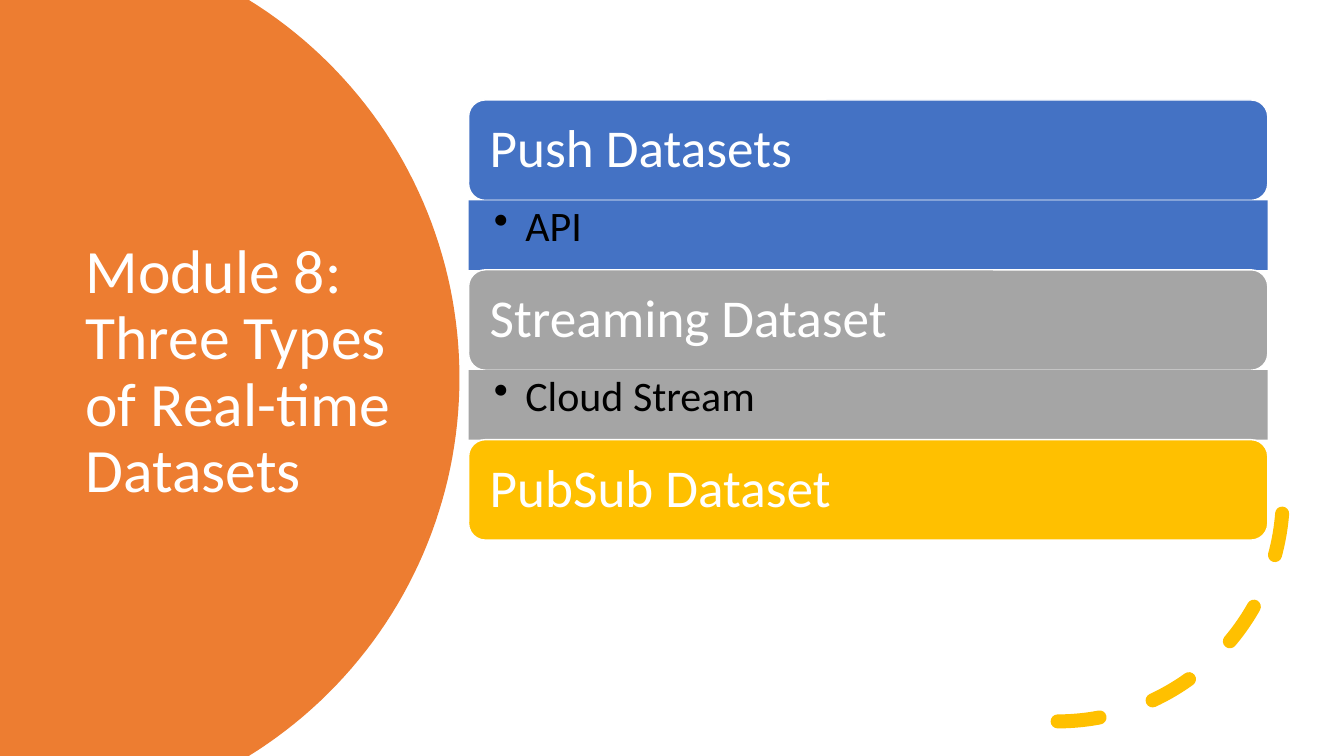
from dataclasses import dataclass
from math import asin, cos, sin

from lxml.etree import SubElement
from pptx import Presentation
from pptx.dml.color import RGBColor
from pptx.enum.dml import MSO_LINE
from pptx.enum.shapes import MSO_SHAPE
from pptx.enum.text import MSO_ANCHOR, PP_ALIGN
from pptx.oxml.ns import qn
from pptx.shapes.autoshape import Shape
from pptx.slide import Slide
from pptx.text.text import TextFrame
from pptx.util import Cm, Pt

FONT = "Calibri"
WHITE, BLACK, ORANGE, GOLD = "FFFFFF", "000000", "ED7D31", "FFC000"
SLIDE_WIDTH, SLIDE_HEIGHT = 33.87, 19.05
LIST_LEFT, LIST_TOP, LIST_WIDTH = 11.81, 2.52, 20.14
HEADER_HEIGHT, DETAIL_HEIGHT = 2.53, 1.75
BULLET_INDENT = Cm(0.79)


@dataclass
class DatasetType:
    name: str
    color: str
    detail: str = ""


DATASET_TYPES = [
    DatasetType("Push Datasets", "4472C4", "API"),
    DatasetType("Streaming Dataset", "A5A5A5", "Cloud Stream"),
    DatasetType("PubSub Dataset", GOLD),
]


def rgb(color: str) -> RGBColor:
    return RGBColor.from_string(color)


def paint(shape: Shape, fill: str, line: str = "") -> None:
    shape.shadow.inherit = False
    shape.fill.solid()
    shape.fill.fore_color.rgb = rgb(fill)
    if line:
        shape.line.color.rgb = rgb(line)
        shape.line.width = Pt(1)
    else:
        shape.line.fill.background()


def write(frame: TextFrame, text: str, size: int, color: str, anchor: MSO_ANCHOR,
          bullet: bool = False) -> None:
    frame.text = text
    frame.word_wrap = True
    frame.vertical_anchor = anchor
    paragraph = frame.paragraphs[0]
    paragraph.alignment = PP_ALIGN.LEFT
    paragraph.line_spacing = 0.9
    if bullet:
        paragraph.level = 1
        properties = paragraph._p.get_or_add_pPr()
        properties.set("marL", str(BULLET_INDENT))
        properties.set("indent", str(-BULLET_INDENT))
        SubElement(properties, qn("a:buChar")).set("char", "•")
    font = paragraph.runs[0].font
    font.name, font.size, font.color.rgb = FONT, Pt(size), rgb(color)


def add_title(slide: Slide, text: str) -> None:
    title = slide.shapes.title
    title.left, title.top, title.width, title.height = Cm(1.9), Cm(3.2), Cm(8.9), Cm(12.4)
    write(title.text_frame, text, 44, WHITE, MSO_ANCHOR.MIDDLE)


def add_side_disc(slide: Slide) -> None:
    """Draw the part of a large disc that lies on the slide, behind the title."""
    center_x, center_y, radius, steps = 0.38, SLIDE_HEIGHT / 2, 11.2, 80
    limit = asin(center_y / radius)
    angles = [limit * (2 * step / steps - 1) for step in range(steps + 1)]
    curve = [(Cm(center_x + radius * cos(angle)), Cm(center_y + radius * sin(angle)))
             for angle in angles]
    builder = slide.shapes.build_freeform(0, 0)
    builder.add_line_segments(curve + [(0, Cm(SLIDE_HEIGHT))], close=True)
    disc = builder.convert_to_shape()
    paint(disc, ORANGE)
    slide.shapes.title.element.addprevious(disc.element)


def add_dashed_arc(slide: Slide) -> None:
    arc = slide.shapes.add_shape(MSO_SHAPE.ARC, Cm(20.98), Cm(6.83), Cm(11.35), Cm(11.35))
    arc.shadow.inherit = False
    arc.fill.background()
    arc.line.color.rgb = rgb(GOLD)
    arc.line.width = Pt(10)
    arc.line.dash_style = MSO_LINE.DASH
    arc.line._get_or_add_ln().set("cap", "rnd")
    arc.element.spPr.xfrm.set("flipV", "1")


def add_dataset_type(slide: Slide, dataset: DatasetType, top: float) -> None:
    header = slide.shapes.add_shape(MSO_SHAPE.ROUNDED_RECTANGLE, Cm(LIST_LEFT), Cm(top),
                                    Cm(LIST_WIDTH), Cm(HEADER_HEIGHT))
    paint(header, dataset.color, WHITE)
    frame = header.text_frame
    # The rounded corners already inset the text a little.
    frame.margin_left = frame.margin_right = Cm(0.41)
    write(frame, dataset.name, 38, WHITE, MSO_ANCHOR.MIDDLE)
    if dataset.detail:
        detail = slide.shapes.add_shape(MSO_SHAPE.RECTANGLE, Cm(LIST_LEFT),
                                        Cm(top + HEADER_HEIGHT), Cm(LIST_WIDTH),
                                        Cm(DETAIL_HEIGHT))
        paint(detail, dataset.color)
        frame = detail.text_frame
        frame.margin_left, frame.margin_right = Cm(0.64), Cm(0.76)
        write(frame, dataset.detail, 30, BLACK, MSO_ANCHOR.TOP, bullet=True)


def main() -> None:
    presentation = Presentation()
    presentation.slide_width, presentation.slide_height = Cm(SLIDE_WIDTH), Cm(SLIDE_HEIGHT)
    slide = presentation.slides.add_slide(presentation.slide_layouts[5])
    add_title(slide, "Module 8: Three Types of Real-time Datasets")
    add_side_disc(slide)
    add_dashed_arc(slide)
    for index, dataset in enumerate(DATASET_TYPES):
        add_dataset_type(slide, dataset, LIST_TOP + index * (HEADER_HEIGHT + DETAIL_HEIGHT))
    presentation.save("out.pptx")


if __name__ == "__main__":
    main()
